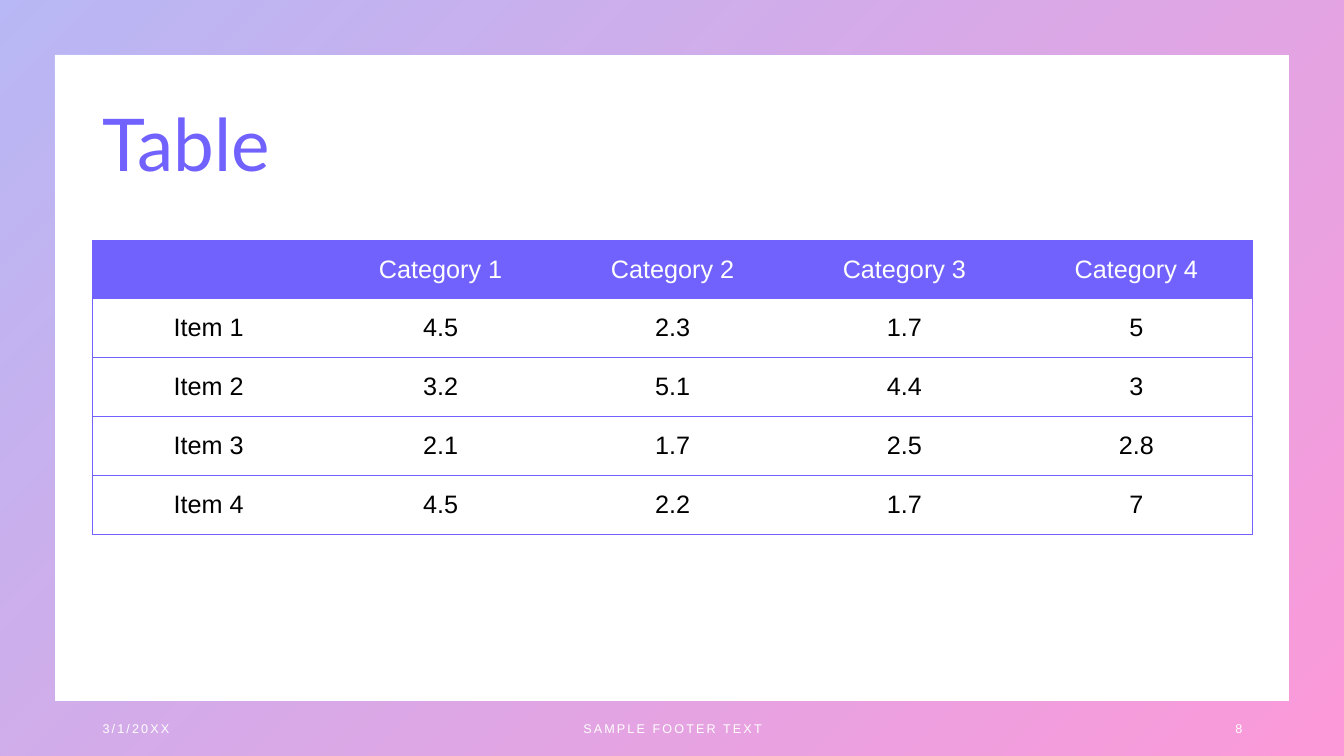
from lxml import etree
from pptx import Presentation
from pptx.dml.color import RGBColor
from pptx.enum.shapes import MSO_SHAPE
from pptx.enum.text import MSO_ANCHOR, PP_ALIGN
from pptx.oxml.ns import qn
from pptx.util import Inches, Pt

FRAME = MSO_SHAPE.FRAME
MIDDLE = MSO_ANCHOR.MIDDLE
LEFT, CENTER, RIGHT = PP_ALIGN.LEFT, PP_ALIGN.CENTER, PP_ALIGN.RIGHT

WIDTH, HEIGHT = 13.33, 7.5
MARGIN = 0.92
CONTENT_WIDTH = 11.5
TABLE_TOP, ROW_HEIGHT = 2.38, 0.584
FOOTER_TOP, FOOTER_HEIGHT = 7.03, 0.4
TITLE_ONLY_LAYOUT = 5

COLORS = {
    "accent": "7162FE",
    "frame_start": "4D4EE6",
    "frame_end": "F900A0",
    "light": "FFFFFF",
    "dark": "000000",
}

ROWS = [
    ["", "Category 1", "Category 2", "Category 3", "Category 4"],
    ["Item 1", "4.5", "2.3", "1.7", "5"],
    ["Item 2", "3.2", "5.1", "4.4", "3"],
    ["Item 3", "2.1", "1.7", "2.5", "2.8"],
    ["Item 4", "4.5", "2.2", "1.7", "7"],
]

FOOTERS = [
    ("3/1/20XX", MARGIN, 3, LEFT),
    ("SAMPLE FOOTER TEXT", MARGIN + 3.5, 4.5, CENTER),
    ("8", MARGIN + 8.5, 3, RIGHT),
]


def color(name):
    """Return the named colour."""
    return RGBColor.from_string(COLORS[name])


def add_run(paragraph, text, size, color_name, font="Arial", align=LEFT):
    """Add a formatted run to an aligned paragraph and return it."""
    paragraph.alignment = align
    run = paragraph.add_run()
    run.text = text
    run.font.name = font
    run.font.size = Pt(size)
    run.font.color.rgb = color(color_name)
    return run


def add_frame(slide):
    """Add the translucent gradient frame around the slide."""
    shape = slide.shapes.add_shape(FRAME, 0, 0, Inches(WIDTH), Inches(HEIGHT))
    shape.adjustments[0] = 0.072
    shape.shadow.inherit = False
    shape.line.fill.background()
    shape.fill.gradient()
    shape.fill.gradient_angle = 315
    for stop, name in zip(shape.fill.gradient_stops, ("frame_start", "frame_end")):
        stop.color.rgb = color(name)
    for stop_color in shape.element.spPr.iter(qn("a:srgbClr")):
        etree.SubElement(stop_color, qn("a:alpha"), val="40000")


def set_title(slide, text):
    """Place and format the title placeholder."""
    title = slide.shapes.title
    title.left, title.top = Inches(MARGIN), Inches(0.74)
    title.width, title.height = Inches(CONTENT_WIDTH), Inches(1.45)
    title.text_frame.vertical_anchor = MIDDLE
    paragraph = title.text_frame.paragraphs[0]
    paragraph.line_spacing = 0.9
    add_run(paragraph, text, 52, "accent", "Lato")


def set_borders(cell, visible_sides):
    """Draw thin accent lines on the given sides and none on the others."""
    properties = cell._tc.get_or_add_tcPr()
    for side in "LRTB":
        line = etree.SubElement(properties, qn(f"a:ln{side}"), w=str(Pt(0.5)))
        if side in visible_sides:
            fill = etree.SubElement(line, qn("a:solidFill"))
            etree.SubElement(fill, qn("a:srgbClr"), val=COLORS["accent"])
        else:
            etree.SubElement(line, qn("a:noFill"))


def add_data_table(slide, rows):
    """Add the table with a filled header and horizontal rules."""
    column_count = len(rows[0])
    table = slide.shapes.add_table(
        len(rows), column_count, Inches(MARGIN), Inches(TABLE_TOP),
        Inches(CONTENT_WIDTH), Inches(ROW_HEIGHT * len(rows)),
    ).table
    table.first_row = table.horz_banding = False
    for row_index, row in enumerate(rows):
        fill_name, text_name = ("light", "dark") if row_index else ("accent", "light")
        for column_index, text in enumerate(row):
            cell = table.cell(row_index, column_index)
            sides = "TB"
            if column_index == 0:
                sides += "L"
            if column_index == column_count - 1:
                sides += "R"
            set_borders(cell, sides)
            cell.fill.solid()
            cell.fill.fore_color.rgb = color(fill_name)
            cell.vertical_anchor = MIDDLE
            if text:
                paragraph = cell.text_frame.paragraphs[0]
                add_run(paragraph, text, 18, text_name, align=CENTER)


def add_footer(slide, text, left, width, align):
    """Add one letter-spaced footer text."""
    box = slide.shapes.add_textbox(
        Inches(left), Inches(FOOTER_TOP), Inches(width), Inches(FOOTER_HEIGHT)
    )
    frame = box.text_frame
    frame.word_wrap = True
    frame.vertical_anchor = MIDDLE
    run = add_run(frame.paragraphs[0], text, 9, "light", align=align)
    run.font._element.set("spc", "150")


def main():
    """Build and save the table slide."""
    presentation = Presentation()
    presentation.slide_width = Inches(WIDTH)
    presentation.slide_height = Inches(HEIGHT)
    layout = presentation.slide_layouts[TITLE_ONLY_LAYOUT]
    slide = presentation.slides.add_slide(layout)
    add_frame(slide)
    set_title(slide, "Table")
    add_data_table(slide, ROWS)
    for footer in FOOTERS:
        add_footer(slide, *footer)
    presentation.save("out.pptx")


if __name__ == "__main__":
    main()
